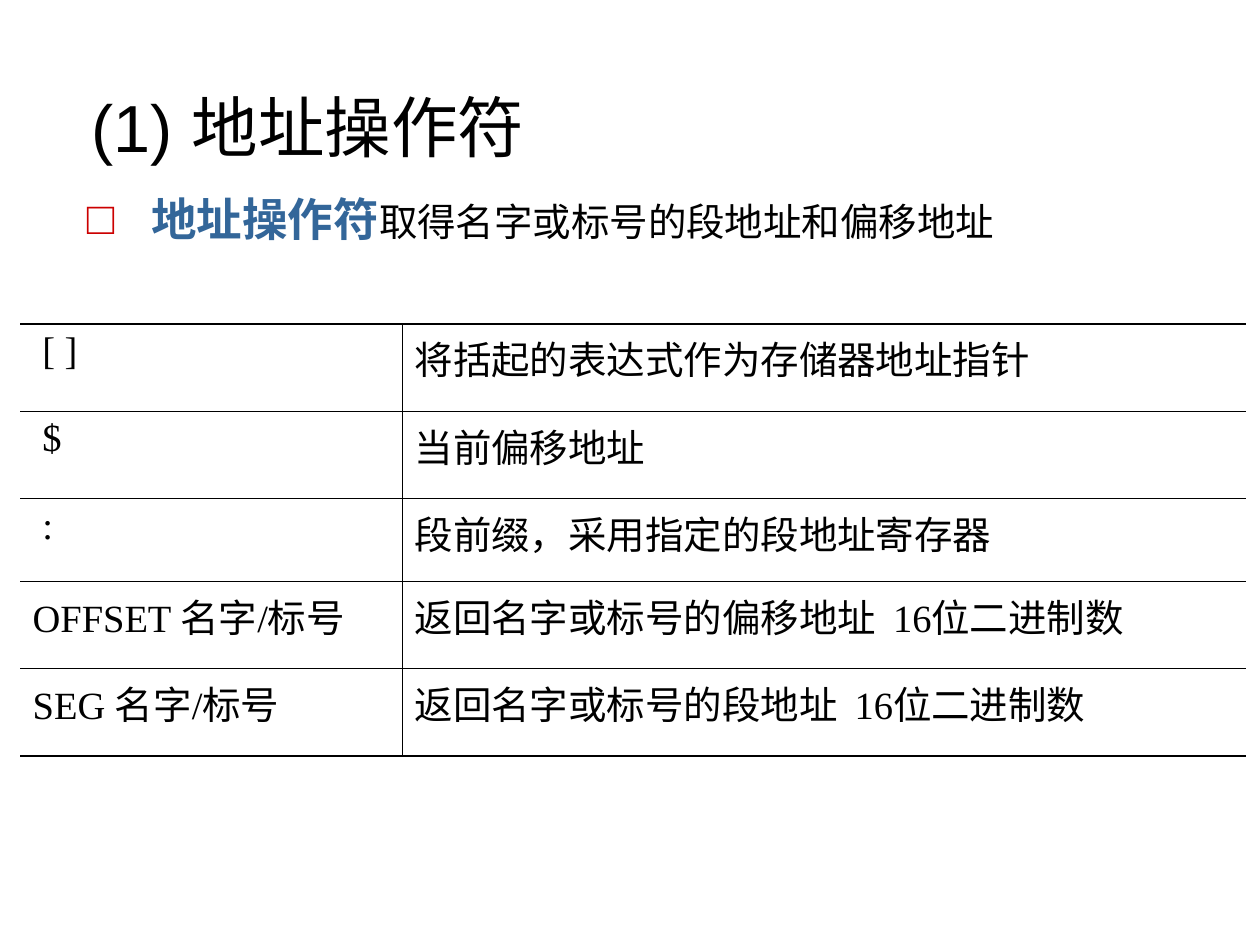
from lxml.etree import SubElement
from pptx import Presentation
from pptx.dml.color import RGBColor as RGB
from pptx.enum.text import MSO_ANCHOR as ANCHOR, PP_ALIGN as ALIGN
from pptx.oxml.ns import qn
from pptx.util import Cm, Pt

# Content
TITLE = "(1) 地址操作符"
TERM = "地址操作符"
MEANING = "取得名字或标号的段地址和偏移地址"
OPERATORS = [
    (" [ ]", "将括起的表达式作为存储器地址指针"),
    (" $", "当前偏移地址"),
    (" :", "段前缀，采用指定的段地址寄存器"),
    ("OFFSET 名字/标号", "返回名字或标号的偏移地址  16位二进制数"),
    ("SEG 名字/标号", "返回名字或标号的段地址  16位二进制数"),
]

# Format
COLORS = {"text": "000000", "term": "336699", "bullet": "CC0000"}
TITLE_FONT = {"name": "Arial", "size": Pt(38), "bold": False}
TERM_FONT = {"name": "Arial", "size": Pt(26), "bold": True}
MEANING_FONT = {"name": "DejaVu Sans", "size": Pt(22), "bold": False}
CELL_FONT = {"name": "Times New Roman", "size": Pt(22), "bold": False}
MARGINS = {"margin_left": Cm(0.25), "margin_right": Cm(0.25),
           "margin_top": Cm(0.13), "margin_bottom": Cm(0.13)}
COL_WIDTHS = [7.7, 17.0]
ROW_HEIGHTS = [1.76, 1.76, 1.67, 1.76, 1.76]
THIN, THICK = Pt(0.45), Pt(1.08)


def set_all(obj, values):
    for name, value in values.items():
        setattr(obj, name, value)


def add_run(p, text, font, color="text"):
    r = p.add_run()
    r.text = text
    set_all(r.font, font)
    r.font.color.rgb = RGB.from_string(COLORS[color])


def add_bullet(p, char, color, indent):
    pPr = p._p.get_or_add_pPr()
    pPr.set("marL", str(indent))
    pPr.set("indent", str(-indent))
    clr = SubElement(pPr, qn("a:buClr"))
    SubElement(clr, qn("a:srgbClr"), val=COLORS[color])
    SubElement(pPr, qn("a:buFont"), typeface="Arial")
    SubElement(pPr, qn("a:buChar"), char=char)


def set_border(cell, side, width):
    tcPr = cell._tc.get_or_add_tcPr()
    ln = SubElement(tcPr, qn(f"a:ln{side}"), w=str(width))
    if width:
        fill = SubElement(ln, qn("a:solidFill"))
        SubElement(fill, qn("a:srgbClr"), val=COLORS["text"])
    else:
        SubElement(ln, qn("a:noFill"))


prs = Presentation()
prs.slide_width, prs.slide_height = Cm(25.4), Cm(19.05)
s = prs.slides.add_slide(prs.slide_layouts[5])

# Title
title = s.shapes.title
set_all(title, {"left": Cm(1.6), "top": Cm(0.84),
                "width": Cm(22.23), "height": Cm(3.38)})
tf = title.text_frame
set_all(tf, {**MARGINS, "vertical_anchor": ANCHOR.MIDDLE})
p = tf.paragraphs[0]
p.alignment = ALIGN.LEFT
add_run(p, TITLE, TITLE_FONT)

# Definition
box = s.shapes.add_textbox(Cm(1.5), Cm(3.73), Cm(22.38), Cm(2.16))
tf = box.text_frame
set_all(tf, {**MARGINS, "word_wrap": True})
p = tf.paragraphs[0]
add_bullet(p, "□", "bullet", Cm(1.3))
add_run(p, TERM, TERM_FONT, "term")
add_run(p, MEANING, MEANING_FONT)

# Operator table: inner rules only, heavier at top and bottom
n_rows, n_cols = len(OPERATORS), len(COL_WIDTHS)
table = s.shapes.add_table(n_rows, n_cols, Cm(0.41), Cm(6.53),
                           Cm(sum(COL_WIDTHS)), Cm(sum(ROW_HEIGHTS))).table
set_all(table, {"first_row": False, "horz_banding": False})
for col, width in zip(table.columns, COL_WIDTHS):
    col.width = Cm(width)
for row, height in zip(table.rows, ROW_HEIGHTS):
    row.height = Cm(height)
for i, texts in enumerate(OPERATORS):
    for j, text in enumerate(texts):
        cell = table.cell(i, j)
        set_all(cell, MARGINS)
        add_run(cell.text_frame.paragraphs[0], text, CELL_FONT)
        borders = {"L": THIN if j else 0,
                   "R": THIN if j < n_cols - 1 else 0,
                   "T": THIN if i else THICK,
                   "B": THIN if i < n_rows - 1 else THICK}
        for side, width in borders.items():
            set_border(cell, side, width)
        cell.fill.background()

prs.save("out.pptx")
